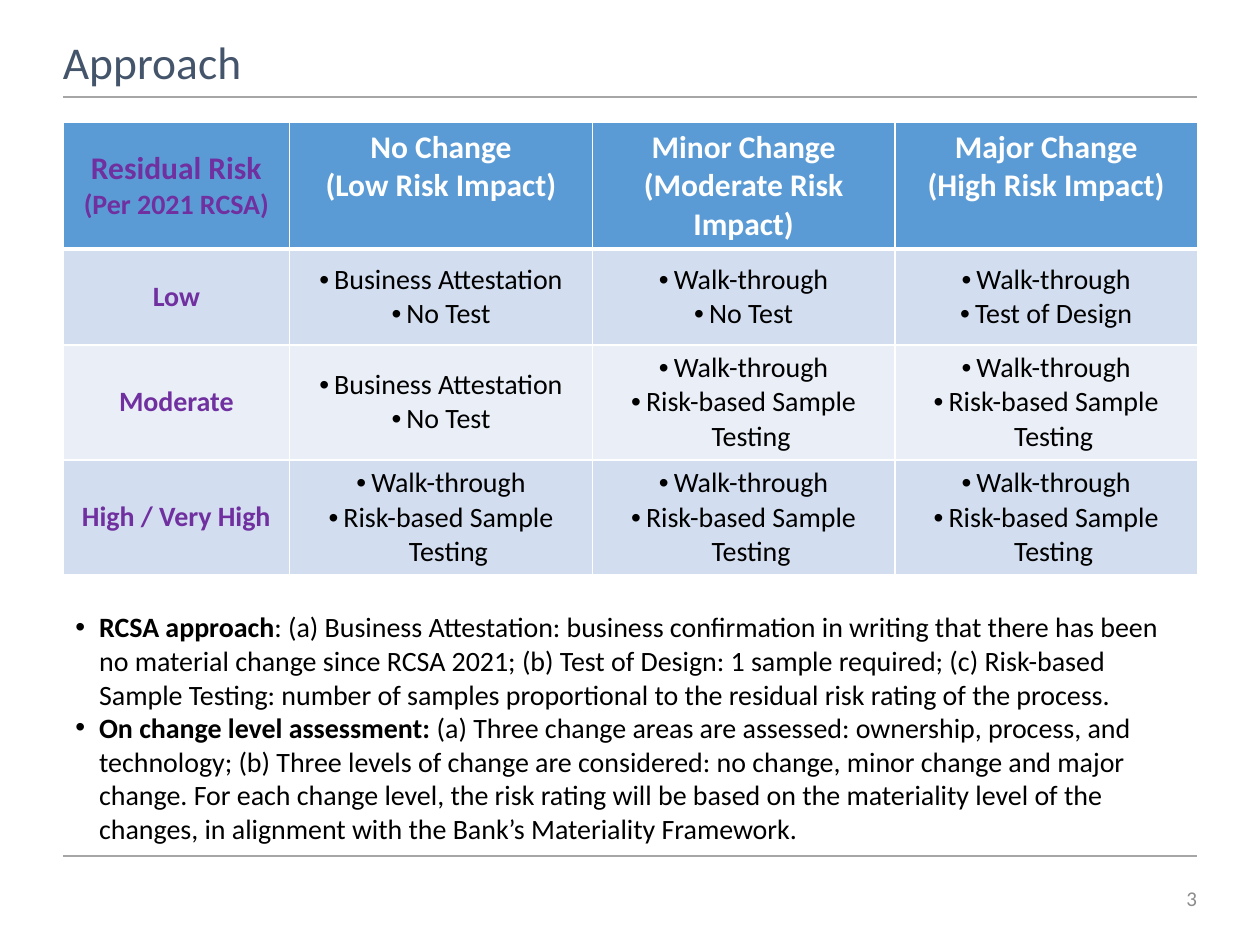
from lxml import etree
from pptx import Presentation
from pptx import util as u
from pptx.dml.color import RGBColor
from pptx.enum import shapes, text
from pptx.oxml.ns import qn

theme = {
    "font": "Calibri",
    "title": "44546A", "rule": "A6A6A6", "number": "8C8C8C",
    "header": "5B9BD5", "bands": ("D2DEEF", "EAEFF7"),
    "risk": "7030A0", "white": "FFFFFF", "body": "000000",
    "title_size": 26, "header_size": 18, "body_size": 16, "number_size": 12,
}
LEFT, WIDTH = 1.27, 22.86


def style(paragraph, size, color, bold=False, align=text.PP_ALIGN.LEFT, bullet=0):
    """Format a paragraph's runs; a bullet above zero is its hanging indent in cm."""
    paragraph.alignment = align
    for run in paragraph.runs:
        run.font.name = theme["font"]
        run.font.size = u.Pt(size)
        run.font.bold = bold
        run.font.color.rgb = RGBColor.from_string(theme[color])
    if bullet:
        props = paragraph._p.get_or_add_pPr()
        props.set("marL", str(u.Cm(bullet)))
        props.set("indent", str(-u.Cm(bullet)))
        etree.SubElement(props, qn("a:buFont")).set("typeface", "Arial")
        etree.SubElement(props, qn("a:buChar")).set("char", "•")


def add_text(left, top, width, height, anchor):
    """Add a wrapping text box, measured in cm, and return its text frame."""
    frame = slide.shapes.add_textbox(
        u.Cm(left), u.Cm(top), u.Cm(width), u.Cm(height)).text_frame
    frame.word_wrap = True
    frame.vertical_anchor = anchor
    return frame


deck = Presentation()
deck.slide_width, deck.slide_height = u.Cm(25.4), u.Cm(19.05)
slide = deck.slides.add_slide(deck.slide_layouts[6])

# Rules, title and page number
for y in (1.96, 17.25):
    rule = slide.shapes.add_connector(
        shapes.MSO_CONNECTOR.STRAIGHT, u.Cm(LEFT), u.Cm(y), u.Cm(LEFT + WIDTH), u.Cm(y))
    rule.line.color.rgb = RGBColor.from_string(theme["rule"])
    rule.line.width = u.Pt(1.25)
    etree.SubElement(rule._element.spPr, qn("a:effectLst"))

title = add_text(LEFT, 0.64, WIDTH, 1.27, text.MSO_ANCHOR.BOTTOM)
title.margin_left = 0
title.text = "Approach"
style(title.paragraphs[0], theme["title_size"], "title")

number = add_text(23.06, 17.68, 1.07, 0.84, text.MSO_ANCHOR.MIDDLE)
number.margin_right = 0
number.text = "3"
style(number.paragraphs[0], theme["number_size"], "number", align=text.PP_ALIGN.RIGHT)

# Risk and change matrix
attest = "Business Attestation\nNo Test"
walk = "Walk-through\n"
sample = walk + "Risk-based Sample Testing"
matrix_rows = [
    ("Residual Risk\n(Per 2021 RCSA)", "No Change\n(Low Risk Impact)",
     "Minor Change (Moderate Risk Impact)", "Major Change\n(High Risk Impact)"),
    ("Low", attest, walk + "No Test", walk + "Test of Design"),
    ("Moderate", attest, sample, sample),
    ("High / Very High", sample, sample, sample),
]
matrix = slide.shapes.add_table(
    4, 4, u.Cm(LEFT), u.Cm(2.46), u.Cm(WIDTH), u.Cm(9.13)).table
matrix.first_row = matrix.horz_banding = False
for column, width in zip(matrix.columns, (4.57, 6.1, 6.1, 6.1)):
    column.width = u.Cm(width)
for row, height in zip(matrix.rows, (2.56, 1.93, 2.32, 2.32)):
    row.height = u.Cm(height)

for r, entries in enumerate(matrix_rows):
    for c, entry in enumerate(entries):
        cell = matrix.cell(r, c)
        is_header, is_risk = r == 0, c == 0
        thick_side = {0: "lnB", 1: "lnT"}.get(r)
        cell_props = cell._tc.get_or_add_tcPr()
        for side in ("lnL", "lnR", "lnT", "lnB"):
            border = etree.SubElement(cell_props, qn("a:" + side))
            border.set("w", str(u.Pt(3 if side == thick_side else 1)))
            fill = etree.SubElement(border, qn("a:solidFill"))
            etree.SubElement(fill, qn("a:srgbClr")).set("val", theme["white"])
        cell.fill.solid()
        cell.fill.fore_color.rgb = RGBColor.from_string(
            theme["header"] if is_header else theme["bands"][(r - 1) % 2])
        cell.vertical_anchor = (text.MSO_ANCHOR.TOP if is_header and not is_risk
                                else text.MSO_ANCHOR.MIDDLE)
        cell.text_frame.text = entry
        color = "risk" if is_risk else "white" if is_header else "body"
        for i, paragraph in enumerate(cell.text_frame.paragraphs):
            large = is_header and not (is_risk and i == 1)
            style(paragraph, theme["header_size" if large else "body_size"], color,
                  bold=is_header or is_risk, align=text.PP_ALIGN.CENTER,
                  bullet=0 if is_header or is_risk else 0.3)

# Notes under the matrix
notes = [
    ("RCSA approach",
     ": (a) Business Attestation: business confirmation in writing that there has been "
     "no material change since RCSA 2021; (b) Test of Design: 1 sample required; "
     "(c) Risk-based Sample Testing: number of samples proportional to the residual "
     "risk rating of the process."),
    ("On change level assessment: ",
     "(a) Three change areas are assessed: ownership, process, and technology; "
     "(b) Three levels of change are considered: no change, minor change and major "
     "change. For each change level, the risk rating will be based on the materiality "
     "level of the changes, in alignment with the Bank’s Materiality Framework."),
]
explanation = add_text(LEFT, 12.17, 22.53, 4.55, text.MSO_ANCHOR.TOP)
for i, (lead, detail) in enumerate(notes):
    paragraph = explanation.paragraphs[0] if i == 0 else explanation.add_paragraph()
    for part in (lead, detail):
        paragraph.add_run().text = part
    style(paragraph, theme["body_size"], "body", bullet=0.48)
    paragraph.runs[0].font.bold = True

deck.save("out.pptx")
